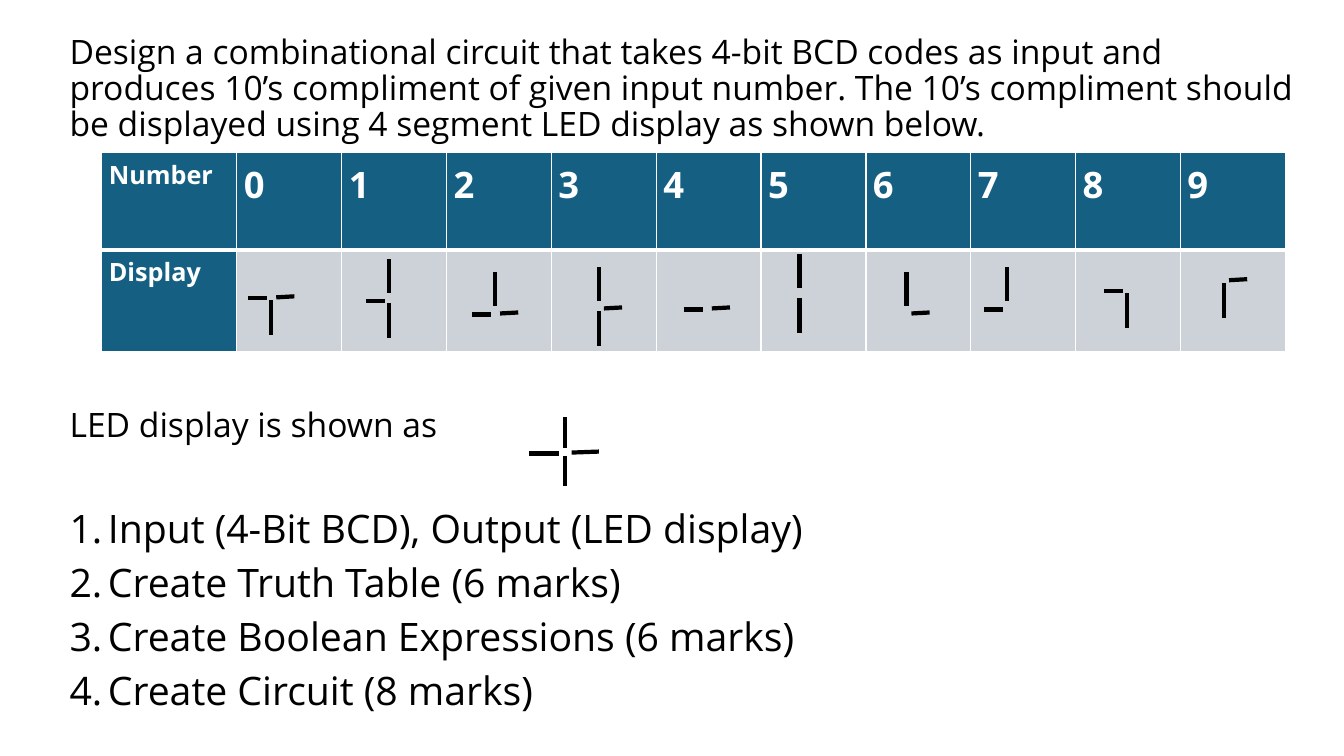
import pptx
import pptx.util
import pptx.dml.color
import pptx.enum.shapes
import pptx.enum.text
import pptx.oxml.ns
from dataclasses import dataclass
from lxml import etree

EMU_PER_PX = 9144


@dataclass(frozen=True)
class Theme:
    font: str = "Open Sans"
    ink: str = "000000"
    light: str = "FFFFFF"
    header: str = "156082"
    display_cell: str = "CCD2D8"
    question_size: int = 24
    task_size: int = 28
    label_size: int = 18
    digit_size: int = 26
    segment_width: int = 3


THEME = Theme()

QUESTION = ("Design a combinational circuit that takes 4-bit BCD codes as input and produces "
            "10’s compliment of given input number. The 10’s compliment should be displayed "
            "using 4 segment LED display as shown below.")
LEGEND = "LED display is shown as"
TASKS = [
    "Input (4-Bit BCD), Output (LED display)",
    "Create Truth Table (6 marks)",
    "Create Boolean Expressions (6 marks)",
    "Create Circuit (8 marks)",
]

# Segment ends relative to the centre of the display: x1, y1, x2, y2
DIGIT_SEGMENTS = {
    "top": (0, -42, 0, -8),
    "left": (-23, 0, -4, 0),
    "right": (5, -1, 23, -2),
    "bottom": (0, 2, 0, 36),
}
LEGEND_SEGMENTS = {
    "top": (0, -36, 0, -6),
    "left": (-35, 0, -6, 0),
    "right": (7, -1, 34, -2),
    "bottom": (0, 2, 0, 32),
}
LEGEND_CENTRE = (560, 450)

# Centre and lit segments for the digits 0 to 9
DIGITS = [
    (269, 296, "left right bottom"),
    (386, 299, "top left bottom"),
    (491, 312, "top left right"),
    (594, 307, "top right bottom"),
    (701, 307, "left right"),
    (793, 294, "top bottom"),
    (899, 312, "top right"),
    (999, 307, "top left"),
    (1118, 289, "left bottom"),
    (1214, 279, "right bottom"),
]


def px(length):
    return pptx.util.Emu(length * EMU_PER_PX)


def rgb(colour):
    return pptx.dml.color.RGBColor.from_string(colour)


def write_text(paragraph, text, *, size, color=THEME.ink, bold=False,
               line_spacing=1.15, before=0, after=0):
    paragraph.alignment = pptx.enum.text.PP_ALIGN.LEFT
    paragraph.line_spacing = line_spacing
    paragraph.space_before = pptx.util.Pt(before)
    paragraph.space_after = pptx.util.Pt(after)
    run = paragraph.add_run()
    run.text = text
    run.font.name = THEME.font
    run.font.size = pptx.util.Pt(size)
    run.font.bold = bold
    run.font.color.rgb = rgb(color)


def number_paragraph(paragraph, indent):
    properties = paragraph._p.get_or_add_pPr()
    properties.set("marL", str(px(indent)))
    properties.set("indent", str(-px(indent)))
    numbering = etree.SubElement(properties, pptx.oxml.ns.qn("a:buAutoNum"))
    numbering.set("type", "arabicPeriod")


def fill_body(body):
    body.left, body.top, body.width, body.height = map(px, (59, 30, 1257, 706))
    frame = body.text_frame
    frame.word_wrap = True
    frame.auto_size = pptx.enum.text.MSO_AUTO_SIZE.NONE
    frame.vertical_anchor = pptx.enum.text.MSO_ANCHOR.TOP
    write_text(frame.paragraphs[0], QUESTION, size=THEME.question_size, line_spacing=0.9)
    write_text(frame.add_paragraph(), LEGEND, size=THEME.question_size,
               line_spacing=0.9, before=189, after=37)
    for task in TASKS:
        item = frame.add_paragraph()
        write_text(item, task, size=THEME.task_size)
        number_paragraph(item, 38)


def set_borders(cell, bottom_width):
    """Draw light borders, one point wide except at the bottom."""
    properties = cell._tc.get_or_add_tcPr()
    widths = {"a:lnL": 1, "a:lnR": 1, "a:lnT": 1, "a:lnB": bottom_width}
    for position, (side, width) in enumerate(widths.items()):
        border = etree.Element(pptx.oxml.ns.qn(side), w=str(pptx.util.Pt(width)))
        fill = etree.SubElement(border, pptx.oxml.ns.qn("a:solidFill"))
        etree.SubElement(fill, pptx.oxml.ns.qn("a:srgbClr"), val=THEME.light)
        properties.insert(position, border)


def format_cell(cell, text, fill, size, bottom_width):
    cell.margin_left = cell.margin_right = px(7)
    cell.margin_top = cell.margin_bottom = 0
    cell.fill.solid()
    cell.fill.fore_color.rgb = rgb(fill)
    set_borders(cell, bottom_width)
    if text:
        write_text(cell.text_frame.paragraphs[0], text, size=size, color=THEME.light,
                   bold=True)


def add_digit_table(slide):
    column_widths = [134] + [104] * len(DIGITS)
    row_heights = [97, 101]
    table = slide.shapes.add_table(
        len(row_heights), len(column_widths), px(101), px(151),
        px(sum(column_widths)), px(sum(row_heights))).table
    table.horz_banding = False
    for column, width in zip(table.columns, column_widths):
        column.width = px(width)
    for row, height in zip(table.rows, row_heights):
        row.height = px(height)

    for row, label in enumerate(["Number", "Display"]):
        format_cell(table.cell(row, 0), label, THEME.header, THEME.label_size, 3 - 2 * row)
    for digit in range(len(DIGITS)):
        format_cell(table.cell(0, digit + 1), str(digit), THEME.header, THEME.digit_size, 3)
        format_cell(table.cell(1, digit + 1), "", THEME.display_cell, THEME.label_size, 1)


def add_segment(group, x1, y1, x2, y2):
    segment = group.shapes.add_connector(
        pptx.enum.shapes.MSO_CONNECTOR.STRAIGHT, px(x1), px(y1), px(x2), px(y2))
    segment.line.color.rgb = rgb(THEME.ink)
    segment.line.width = pptx.util.Pt(THEME.segment_width)
    etree.SubElement(segment._element.spPr, pptx.oxml.ns.qn("a:effectLst"))


def add_display(group, x, y, segments, lit):
    for name in lit:
        x1, y1, x2, y2 = segments[name]
        add_segment(group, x + x1, y + y1, x + x2, y + y2)


def main():
    presentation = pptx.Presentation()
    presentation.slide_width, presentation.slide_height = px(1333), px(750)
    slide = presentation.slides.add_slide(presentation.slide_layouts[0])
    heading = slide.shapes.title._element
    heading.getparent().remove(heading)

    fill_body(slide.placeholders[1])
    add_digit_table(slide)
    digit_displays = slide.shapes.add_group_shape()
    for x, y, lit in DIGITS:
        add_display(digit_displays, x, y, DIGIT_SEGMENTS, lit.split())
    legend_display = slide.shapes.add_group_shape()
    add_display(legend_display, *LEGEND_CENTRE, LEGEND_SEGMENTS, LEGEND_SEGMENTS)
    presentation.save("out.pptx")


if __name__ == "__main__":
    main()
